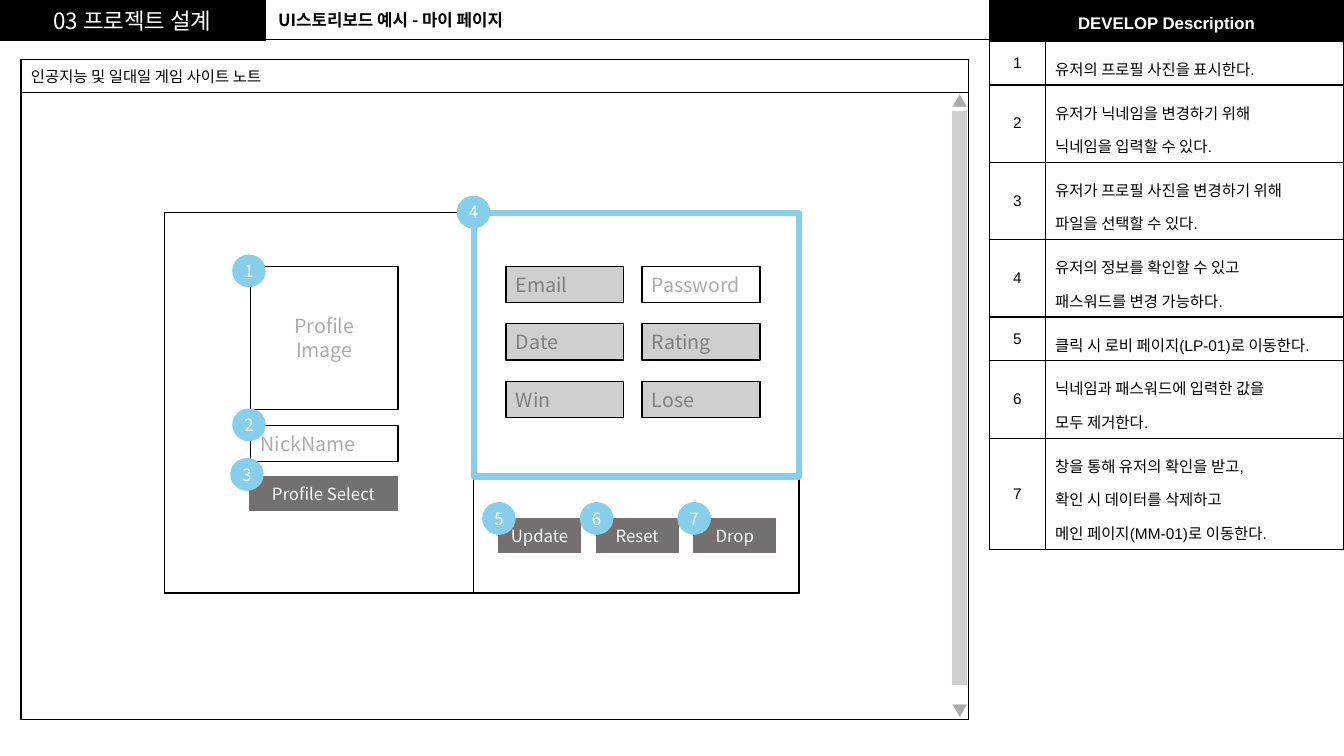
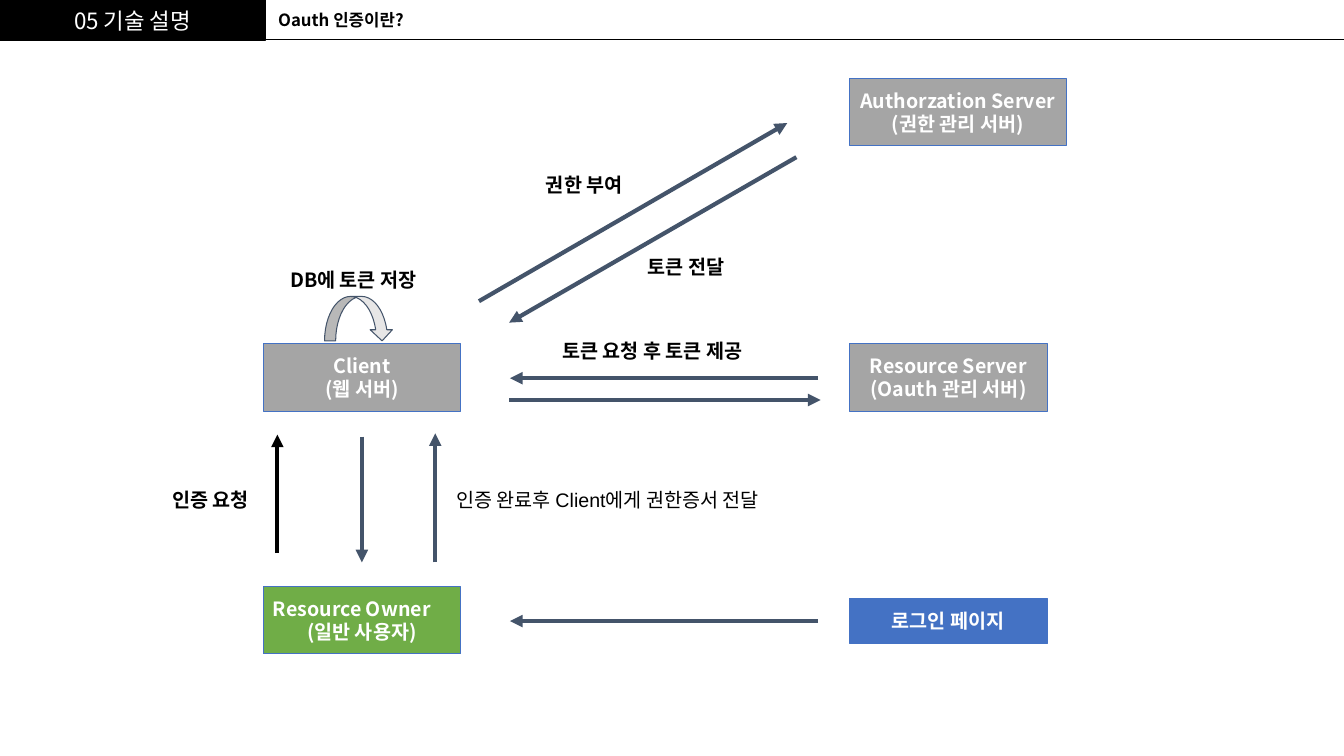
import dataclasses

import lxml.etree
import pptx
import pptx.dml.color
import pptx.enum.shapes
import pptx.enum.text
import pptx.oxml.ns
import pptx.util

Cm = pptx.util.Cm
Pt = pptx.util.Pt
RGB = pptx.dml.color.RGBColor.from_string
SHAPE = pptx.enum.shapes.MSO_SHAPE
ALIGN = pptx.enum.text.PP_ALIGN
ANCHOR = pptx.enum.text.MSO_ANCHOR
qn = pptx.oxml.ns.qn


@dataclasses.dataclass(frozen=True)
class Theme:
    font: str = "Noto Sans CJK KR"
    table_font: str = "Arial"
    black: str = "000000"
    white: str = "FFFFFF"
    sky: str = "87CEEB"
    button: str = "757070"
    locked: str = "D0CECE"
    locked_text: str = "7F7F7F"
    hint: str = "AEABAB"
    server: str = "A5A5A5"
    owner: str = "70AD47"
    blue: str = "4472C4"
    navy: str = "44546A"
    pale: str = "E7E6E6"
    section: int = 16
    label: int = 14
    body: int = 12
    small: int = 11


T = Theme()


def write_text(tf, text, size, color, align, bold=False, font=T.font, spacing=None):
    """Fill a text frame, one paragraph for each line of text."""
    tf.text = text
    for p in tf.paragraphs:
        p.alignment = align
        p.line_spacing = spacing
        p.font.size = Pt(size)
        p.font.bold = bold
        p.font.color.rgb = RGB(color)
        p.font.name = font
        lxml.etree.SubElement(p._p.pPr.find(qn("a:defRPr")), qn("a:ea"), typeface=T.font)


def box(s, left, top, width, height, text="", size=T.label, color=T.black, fill=None,
        line=None, weight=1, align=ALIGN.CENTER, bold=False, font=T.font,
        shape=SHAPE.RECTANGLE):
    """Add a shape, or a plain text box when there is no fill."""
    place = Cm(left), Cm(top), Cm(width), Cm(height)
    if fill:
        sp = s.shapes.add_shape(shape, *place)
        sp.shadow.inherit = False
        sp.fill.solid()
        sp.fill.fore_color.rgb = RGB(fill)
        sp.line.color.rgb = RGB(line or fill)
        sp.line.width = Pt(weight)
    else:
        sp = s.shapes.add_textbox(*place)
    if text:
        tf = sp.text_frame
        tf.word_wrap = True
        tf.vertical_anchor = ANCHOR.MIDDLE
        tf.margin_top = tf.margin_bottom = 0
        tf.margin_left = tf.margin_right = Cm(0 if align == ALIGN.CENTER else 0.25)
        write_text(tf, text, size, color, align, bold, font)
    return sp


prs = pptx.Presentation()
prs.slide_width, prs.slide_height = Cm(33.87), Cm(19.05)

# Header band of every slide
slides = []
lines = []
for section, topic in [
    ("03 프로젝트 설계", "UI스토리보드 예시 - 마이 페이지"),
    ("05 기술 설명", "Oauth 인증이란?"),
]:
    s = prs.slides.add_slide(prs.slide_layouts[6])
    box(s, 0, 0, 6.68, 1.02, section, T.section, T.white, T.black)
    box(s, 6.76, 0.13, 7.62, 0.76, topic, T.body, align=ALIGN.LEFT, bold=True)
    lines.append((s, 0, 1, 33.87, 1, T.black, 0.75, False))
    slides.append(s)
storyboard, oauth = slides

# Storyboard: page frame and scroll bar
s = storyboard
for left, top, width, height in [
    (0.53, 2.31, 23.88, 15.82),
    (4.14, 5.36, 16, 9.58),
    (11.94, 5.36, 8.2, 9.58),
]:
    box(s, left, top, width, height, fill=T.white, line=T.black)
box(s, 0.53, 1.5, 23.88, 0.84, "인공지능 및 일대일 게임 사이트 노트", T.small,
    fill=T.white, line=T.black, align=ALIGN.LEFT)
box(s, 23.98, 2.79, 0.41, 14.5, fill=T.locked, line=T.white)
for top, mark in [(2.18, "▲"), (17.53, "▼")]:
    box(s, 23.8, top, 0.78, 0.74, mark, T.small, T.hint)

# Storyboard: profile and account fields
box(s, 6.32, 6.71, 3.71, 3.61, "Profile\nImage", T.label, T.hint, T.white, T.black)
box(s, 6.32, 10.72, 3.71, 0.91, "NickName", T.label, T.hint, T.white, T.black,
    align=ALIGN.LEFT)
box(s, 6.3, 12.01, 3.71, 0.86, "Profile Select", T.body, T.white, T.button)
box(s, 11.94, 5.36, 8.2, 6.65, fill=T.white, line=T.sky, weight=4.5)
for i, name in enumerate(["Email", "Password", "Date", "Rating", "Win", "Lose"]):
    row, col = divmod(i, 2)
    editable = name == "Password"
    box(s, 12.75 + 3.43 * col, 6.71 + 1.45 * row, 2.97, 0.91, name, T.label,
        T.hint if editable else T.locked_text, T.white if editable else T.locked,
        T.black, align=ALIGN.LEFT)

# Storyboard: buttons and numbered badges
badges = [(5.87, 6.43), (5.87, 10.31), (5.82, 11.56), (11.53, 4.95)]
for i, name in enumerate(["Update", "Reset", "Drop"]):
    left = 12.57 + 2.46 * i
    box(s, left, 13.06, 2.06, 0.86, name, T.body, T.white, T.button)
    badges.append((left - 0.4, 12.67))
for number, (left, top) in enumerate(badges, 1):
    box(s, left, top, 0.81, 0.79, str(number), T.body, T.white, T.sky,
        shape=SHAPE.FLOWCHART_CONNECTOR)

# Storyboard: description table
descriptions = [
    "유저의 프로필 사진을 표시한다.",
    "유저가 닉네임을 변경하기 위해\n닉네임을 입력할 수 있다.",
    "유저가 프로필 사진을 변경하기 위해\n파일을 선택할 수 있다.",
    "유저의 정보를 확인할 수 있고\n패스워드를 변경 가능하다.",
    "클릭 시 로비 페이지(LP-01)로 이동한다.",
    "닉네임과 패스워드에 입력한 값을\n모두 제거한다.",
    "창을 통해 유저의 확인을 받고,\n확인 시 데이터를 삭제하고\n메인 페이지(MM-01)로 이동한다.",
]
table = s.shapes.add_table(len(descriptions) + 1, 2, Cm(24.94), 0, Cm(8.92), Cm(13.8)).table
table.columns[0].width, table.columns[1].width = Cm(1.4), Cm(7.52)
table.rows[0].height = Cm(1.04)
for cell in table.iter_cells():
    tcPr = cell._tc.get_or_add_tcPr()
    for side in ("a:lnL", "a:lnR", "a:lnT", "a:lnB"):
        ln = lxml.etree.SubElement(tcPr, qn(side), w=str(Pt(1)))
        solid = lxml.etree.SubElement(ln, qn("a:solidFill"))
        lxml.etree.SubElement(solid, qn("a:srgbClr"), val=T.black)
    cell.fill.solid()
    cell.fill.fore_color.rgb = RGB(T.white)
heading = table.cell(0, 0)
heading.merge(table.cell(0, 1))
heading.fill.fore_color.rgb = RGB(T.black)
write_text(heading.text_frame, "DEVELOP Description", T.body, T.white, ALIGN.CENTER,
           True, T.table_font, 1.5)
for row, description in enumerate(descriptions, 1):
    table.rows[row].height = Cm(1.1 + 0.85 * description.count("\n"))
    number, detail = table.cell(row, 0), table.cell(row, 1)
    number.vertical_anchor = ANCHOR.MIDDLE
    write_text(number.text_frame, str(row), T.small, T.black, ALIGN.CENTER,
               font=T.table_font)
    write_text(detail.text_frame, description, T.small, T.black, ALIGN.LEFT,
               font=T.table_font, spacing=1.5)

# OAuth: parties
s = oauth
for left, top, width, height, name, fill in [
    (6.63, 8.66, 4.98, 1.7, "Client\n(웹 서버)", T.server),
    (21.41, 15.09, 4.98, 1.12, "로그인 페이지", T.blue),
    (21.41, 8.66, 4.98, 1.7, "Resource Server\n(Oauth 관리 서버)", T.server),
    (21.41, 1.98, 5.46, 1.7, "Authorzation Server\n(권한 관리 서버)", T.server),
]:
    box(s, left, top, width, height, name, T.label, T.white, fill, T.blue, 0.75, bold=True)
owner = box(s, 6.63, 14.78, 4.98, 1.7, "Resource Owner\n(일반 사용자)", T.label, T.white,
            T.owner, T.blue, 0.75, ALIGN.LEFT, True)
owner.text_frame.paragraphs[1].alignment = ALIGN.CENTER
box(s, 8.18, 7.47, 1.73, 1.12, fill=T.pale, line=T.navy, weight=0.75,
    shape=SHAPE.CURVED_DOWN_ARROW)

# OAuth: messages
for left, top, width, message in [
    (7.06, 6.48, 4.11, "DB에 토큰 저장"),
    (13.51, 4.09, 4.9, "권한 부여"),
    (13.92, 8.28, 6.07, "토큰 요청 후 토큰 제공"),
    (4.09, 12.04, 2.9, "인증 요청"),
    (16.08, 6.17, 4.9, "토큰 전달"),
]:
    box(s, left, top, width, 1.12, message, align=ALIGN.LEFT, bold=True)
box(s, 11.25, 12.04, 9.19, 1.12, "인증 완료후 Client에게 권한증서 전달",
    align=ALIGN.LEFT, font=T.table_font)
lines.append((s, 6.99, 13.94, 6.99, 10.95, T.black, 3, True))
for ends in [
    (9.12, 11, 9.12, 14.17),
    (20.62, 15.65, 12.85, 15.65),
    (12.07, 7.59, 19.84, 3.1),
    (10.97, 14.17, 10.97, 10.92),
    (20.07, 3.96, 12.83, 8.13),
    (20.62, 9.53, 12.85, 9.53),
    (12.83, 10.08, 20.68, 10.08),
]:
    lines.append((s, *ends, T.navy, 3, True))

# Header rules and arrows
for s, x1, y1, x2, y2, color, weight, arrow in lines:
    c = s.shapes.add_connector(pptx.enum.shapes.MSO_CONNECTOR.STRAIGHT,
                               Cm(x1), Cm(y1), Cm(x2), Cm(y2))
    c.line.color.rgb = RGB(color)
    c.line.width = Pt(weight)
    if arrow:
        lxml.etree.SubElement(c.line._get_or_add_ln(), qn("a:tailEnd"), type="triangle")
    lxml.etree.SubElement(c._element.spPr, qn("a:effectLst"))

prs.save("out.pptx")
